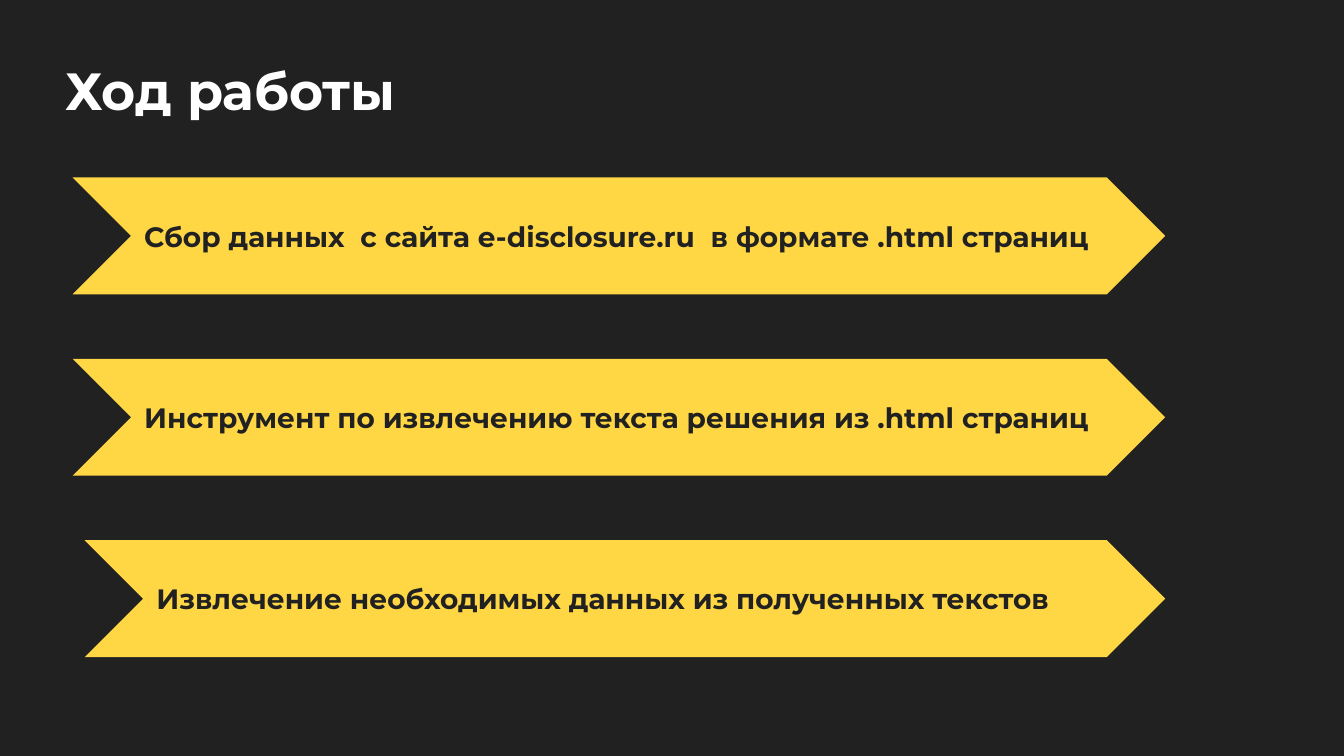
from dataclasses import dataclass

from pptx import Presentation
from pptx.dml.color import RGBColor
from pptx.enum.shapes import MSO_SHAPE
from pptx.enum.text import MSO_ANCHOR, MSO_AUTO_SIZE, PP_ALIGN
from pptx.util import Inches, Pt

CHEVRON = MSO_SHAPE.CHEVRON
TOP, MIDDLE = MSO_ANCHOR.TOP, MSO_ANCHOR.MIDDLE
LEFT = PP_ALIGN.LEFT
NO_AUTOFIT = MSO_AUTO_SIZE.NONE
TITLE_ONLY_LAYOUT = 5


@dataclass(frozen=True)
class Theme:
    font: str = "Montserrat"
    dark: RGBColor = RGBColor(0x21, 0x21, 0x21)
    accent: RGBColor = RGBColor(0xFF, 0xD7, 0x45)
    white: RGBColor = RGBColor(0xFF, 0xFF, 0xFF)
    title_size: int = 28
    step_size: int = 15
    inset: float = 0.1


THEME = Theme()

TITLE = "Ход работы"
# Each step: text, indent from the left edge of the column
STEPS = [
    ("Сбор данных  с сайта e-disclosure.ru  в формате .html страниц", 0),
    ("Инструмент по извлечению текста решения из .html страниц", 0),
    ("Извлечение необходимых данных из полученных текстов", 0.09),
]

SLIDE_WIDTH = 10
SLIDE_HEIGHT = SLIDE_WIDTH * 9 / 16
TITLE_BOX = (0.39, 0.33, 9.32, 0.63)
STEPS_LEFT, STEPS_RIGHT = 0.54, 8.67
STEPS_TOP, STEP_HEIGHT, STEP_PITCH = 1.32, 0.87, 1.35


def write_text(shape, text, size, color, anchor):
    frame = shape.text_frame
    frame.word_wrap = True
    frame.auto_size = NO_AUTOFIT
    frame.vertical_anchor = anchor
    frame.margin_left = frame.margin_right = Inches(THEME.inset)
    frame.margin_top = frame.margin_bottom = Inches(THEME.inset)
    paragraph = frame.paragraphs[0]
    paragraph.alignment = LEFT
    paragraph.line_spacing = 1.0
    paragraph.space_before = Pt(0)
    run = paragraph.add_run()
    run.text = text
    run.font.name = THEME.font
    run.font.size = Pt(size)
    run.font.bold = True
    run.font.color.rgb = color


def add_title(slide):
    title = slide.shapes.title
    title.left, title.top, title.width, title.height = map(Inches, TITLE_BOX)
    write_text(title, TITLE, THEME.title_size, THEME.white, TOP)


def add_step(slide, row, text, indent):
    left = STEPS_LEFT + indent
    top = STEPS_TOP + row * STEP_PITCH
    box = (left, top, STEPS_RIGHT - left, STEP_HEIGHT)
    chevron = slide.shapes.add_shape(CHEVRON, *map(Inches, box))
    chevron.adjustments[0] = 0.5
    chevron.shadow.inherit = False
    chevron.fill.solid()
    chevron.fill.fore_color.rgb = THEME.accent
    chevron.line.fill.background()
    write_text(chevron, text, THEME.step_size, THEME.dark, MIDDLE)


def main():
    presentation = Presentation()
    presentation.slide_width = Inches(SLIDE_WIDTH)
    presentation.slide_height = Inches(SLIDE_HEIGHT)
    layout = presentation.slide_layouts[TITLE_ONLY_LAYOUT]
    slide = presentation.slides.add_slide(layout)
    slide.background.fill.solid()
    slide.background.fill.fore_color.rgb = THEME.dark
    add_title(slide)
    for row, (text, indent) in enumerate(STEPS):
        add_step(slide, row, text, indent)
    presentation.save("out.pptx")


if __name__ == "__main__":
    main()
